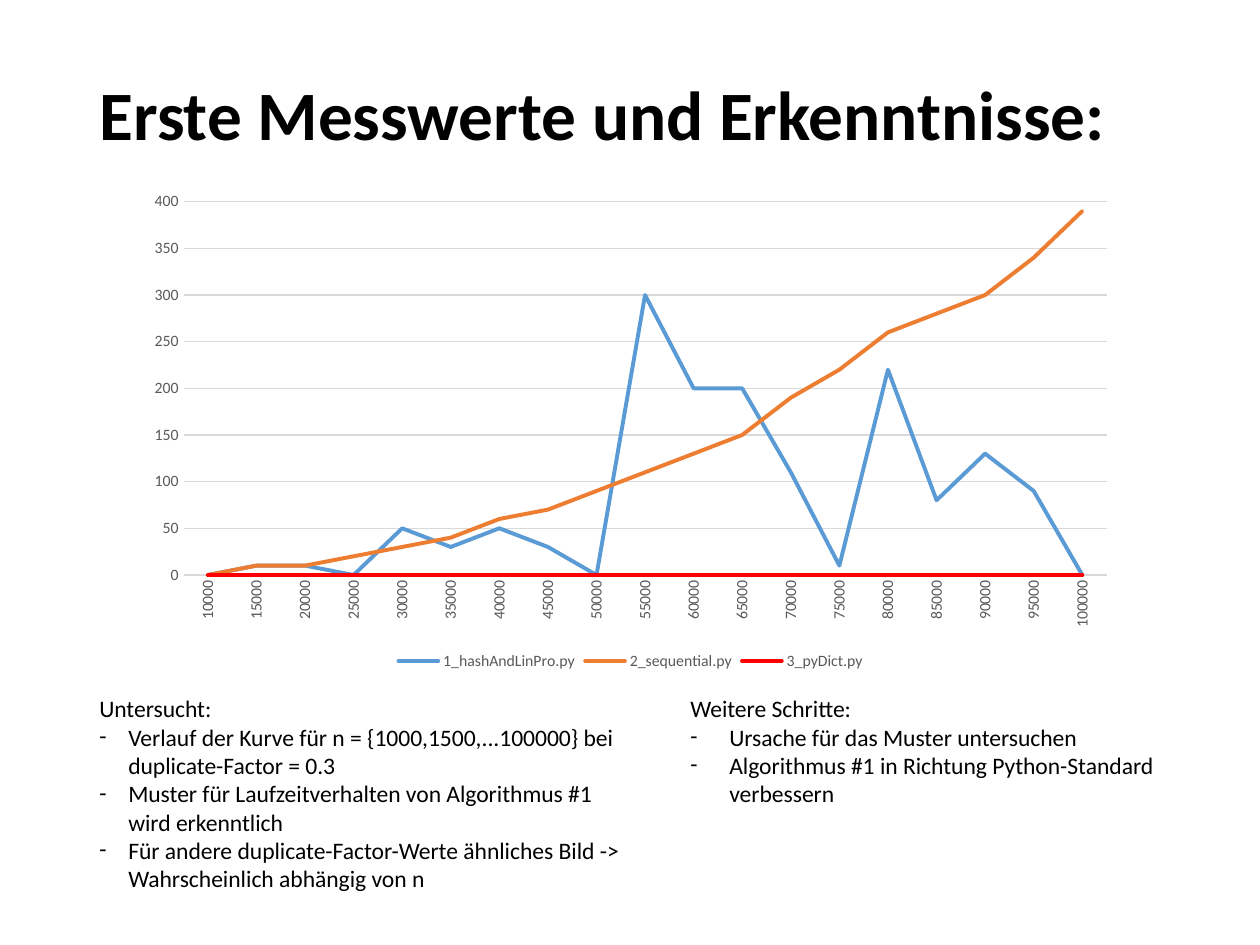
from dataclasses import dataclass

from pptx import Presentation
from pptx.chart.data import CategoryChartData
from pptx.dml.color import RGBColor
from pptx.enum.chart import XL_CHART_TYPE, XL_LEGEND_POSITION, XL_TICK_MARK
from pptx.enum.text import MSO_ANCHOR, MSO_AUTO_SIZE, PP_ALIGN
from pptx.oxml.ns import qn
from pptx.oxml.xmlchemy import OxmlElement
from pptx.util import Inches, Pt

FONT = "Calibri"
BLACK, LABEL_GRAY, GRID_GRAY = "000000", "595959", "D9D9D9"


@dataclass
class Measurement:
    name: str
    color: str
    values: list[int]


@dataclass
class NoteBox:
    left: float
    width: float
    height: float
    indent: float
    heading: str
    points: list[str]


SIZES = range(10000, 100001, 5000)
MEASUREMENTS = [
    Measurement("1_hashAndLinPro.py", "5B9BD5",
                [0, 10, 10, 0, 50, 30, 50, 30, 0, 300, 200, 200, 110, 10, 220, 80, 130, 90, 0]),
    Measurement("2_sequential.py", "ED7D31",
                [0, 10, 10, 20, 30, 40, 60, 70, 90, 110, 130, 150, 190, 220, 260, 280, 300, 340, 390]),
    Measurement("3_pyDict.py", "FF0000", [0] * len(SIZES)),
]
NOTES_TOP = 5.46
NOTES = [
    NoteBox(0.69, 4.37, 1.92, 0.23, "Untersucht:", [
        "Verlauf der Kurve für n = {1000,1500,...100000} bei duplicate-Factor = 0.3",
        "Muster für Laufzeitverhalten von Algorithmus #1 wird erkenntlich",
        "Für andere duplicate-Factor-Werte ähnliches Bild -> Wahrscheinlich abhängig von n",
    ]),
    NoteBox(5.38, 4.38, 1.01, 0.31, "Weitere Schritte:", [
        "Ursache für das Muster untersuchen",
        "Algorithmus #1 in Richtung Python-Standard verbessern",
    ]),
]


def rgb(color: str) -> RGBColor:
    return RGBColor.from_string(color)


def set_all(target, formats: dict) -> None:
    for name, value in formats.items():
        setattr(target, name, value)


def style_font(font, size: float, color: str, bold: bool = False) -> None:
    set_all(font, {"name": FONT, "size": Pt(size), "bold": bold})
    font.color.rgb = rgb(color)


def style_line(line, color: str, width: float) -> None:
    line.color.rgb = rgb(color)
    line.width = Pt(width)


def add_title(page, text: str) -> None:
    title = page.shapes.title
    set_all(title, {"left": Inches(0.69), "top": Inches(0.39),
                    "width": Inches(8.62), "height": Inches(1.45)})
    frame = title.text_frame
    set_all(frame, {"text": text, "word_wrap": True, "auto_size": MSO_AUTO_SIZE.NONE,
                    "vertical_anchor": MSO_ANCHOR.MIDDLE, "margin_bottom": Inches(0.41)})
    para = frame.paragraphs[0]
    set_all(para, {"alignment": PP_ALIGN.LEFT, "line_spacing": 0.9})
    style_font(para.runs[0].font, 39.6, BLACK, bold=True)


def add_dash(para, indent: float) -> None:
    properties = para._p.get_or_add_pPr()
    properties.set("marL", str(Inches(indent)))
    properties.set("indent", str(-Inches(indent)))
    for tag, name, value in (("a:buFont", "typeface", FONT), ("a:buChar", "char", "-")):
        bullet = OxmlElement(tag)
        bullet.set(name, value)
        properties.append(bullet)


def add_notes(page, note: NoteBox) -> None:
    box = page.shapes.add_textbox(Inches(note.left), Inches(NOTES_TOP),
                                  Inches(note.width), Inches(note.height))
    frame = box.text_frame
    set_all(frame, {"word_wrap": True, "auto_size": MSO_AUTO_SIZE.SHAPE_TO_FIT_TEXT,
                    "text": "\n".join([note.heading, *note.points])})
    for para in frame.paragraphs:
        style_font(para.runs[0].font, 13.5, BLACK)
    for para in frame.paragraphs[1:]:
        add_dash(para, note.indent)


def style_axes(chart) -> None:
    sizes_axis, values_axis = chart.category_axis, chart.value_axis
    for axis in (sizes_axis, values_axis):
        set_all(axis, {"major_tick_mark": XL_TICK_MARK.NONE,
                       "minor_tick_mark": XL_TICK_MARK.NONE})
        set_all(axis.tick_labels, {"number_format": "0", "number_format_is_linked": False})
        style_font(axis.tick_labels.font, 9, LABEL_GRAY)
    style_line(sizes_axis.format.line, GRID_GRAY, 0.75)
    text_body = sizes_axis._element.find(qn("c:txPr")).find(qn("a:bodyPr"))
    text_body.set("rot", "-5400000")
    text_body.set("vert", "horz")
    set_all(values_axis, {"minimum_scale": 0, "maximum_scale": 400, "major_unit": 50,
                          "has_major_gridlines": True})
    values_axis.format.line.fill.background()
    style_line(values_axis.major_gridlines.format.line, GRID_GRAY, 0.75)


def add_runtime_chart(page) -> None:
    data = CategoryChartData(number_format="0")
    data.categories = SIZES
    for measurement in MEASUREMENTS:
        data.add_series(measurement.name, measurement.values)
    chart = page.shapes.add_chart(XL_CHART_TYPE.LINE, Inches(1.07), Inches(1.45),
                                  Inches(7.87), Inches(3.91), data).chart
    set_all(chart, {"has_title": False, "has_legend": True})
    style_font(chart.font, 10, BLACK)
    set_all(chart.legend, {"position": XL_LEGEND_POSITION.BOTTOM, "include_in_layout": False})
    style_font(chart.legend.font, 9, LABEL_GRAY)
    style_axes(chart)
    chart.plots[0].vary_by_categories = False
    for series, measurement in zip(chart.plots[0].series, MEASUREMENTS):
        series.smooth = False
        style_line(series.format.line, measurement.color, 2.25)
        outline = series._element.find(qn("c:spPr")).find(qn("a:ln"))
        outline.set("cap", "rnd")
        outline.append(OxmlElement("a:round"))


def main() -> None:
    deck = Presentation()
    set_all(deck, {"slide_width": Inches(10), "slide_height": Inches(7.5)})
    page = deck.slides.add_slide(deck.slide_layouts[5])
    add_title(page, "Erste Messwerte und Erkenntnisse:")
    add_runtime_chart(page)
    for note in NOTES:
        add_notes(page, note)
    deck.save("out.pptx")


if __name__ == "__main__":
    main()
